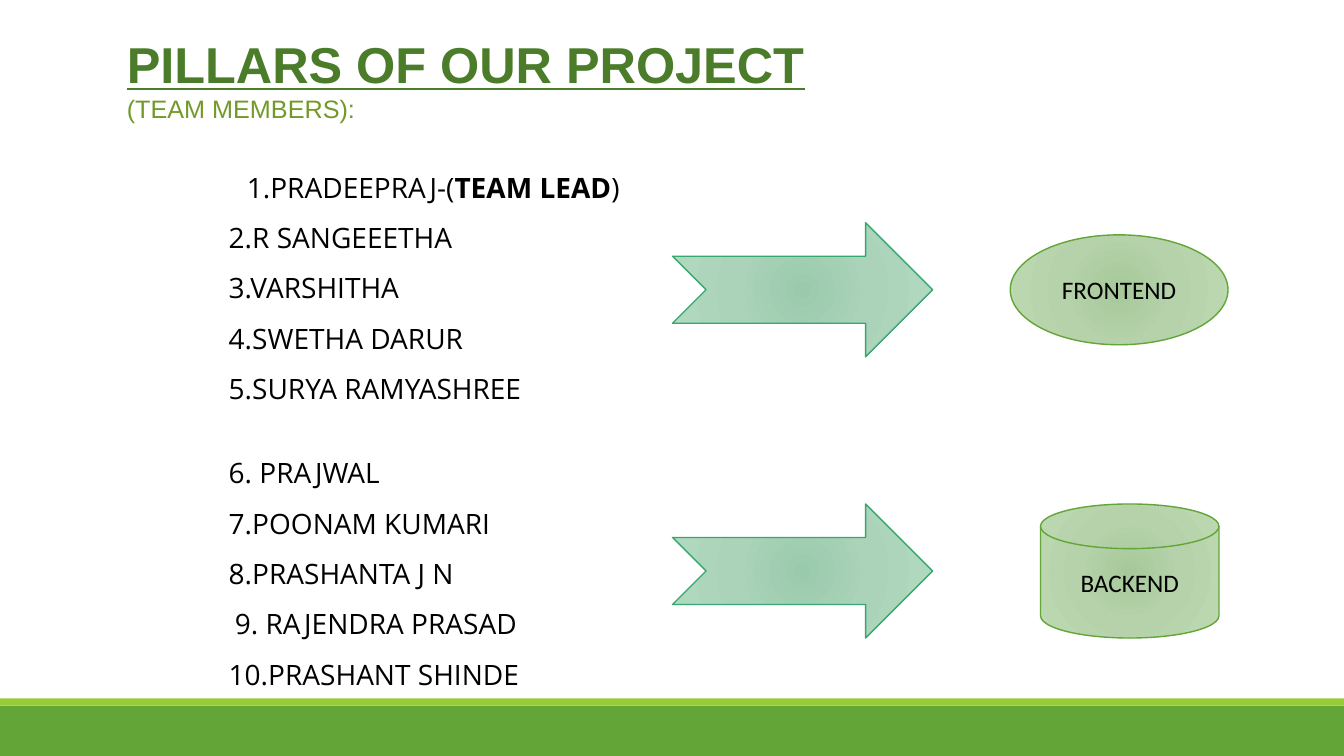
from dataclasses import dataclass

from lxml.etree import SubElement
from pptx import Presentation
from pptx.dml.color import RGBColor
from pptx.enum.shapes import MSO_SHAPE
from pptx.enum.text import MSO_ANCHOR, PP_ALIGN
from pptx.oxml.ns import qn
from pptx.util import Inches, Pt


@dataclass(frozen=True)
class Theme:
    """Colours, fonts and type sizes of the slide."""
    title: str = "4A7C29"
    subtitle: str = "739A28"
    text: str = "000000"
    green: str = "63A537"
    lime: str = "99CB38"
    teal: str = "37A76F"
    teal_glow: tuple = ("9ACAAC", "AAD3B9", "B1DAC0")
    green_glow: tuple = ("A7C99A", "B5D2AA", "BCD9B1")
    head_font: str = "Arial"
    list_font: str = "Open Sans"
    label_font: str = "Calibri"
    title_size: int = 36
    small_size: int = 18
    list_size: int = 20


class SlideBuilder:
    """Draws styled elements on the current slide."""

    def __init__(self, slide, theme):
        """Keep the slide and its theme."""
        self.s, self.theme = slide, theme

    def run(self, p, text, font, size, color, bold=False, underline=False):
        """Add one formatted run to a paragraph."""
        r = p.add_run()
        r.text = text
        r.font.name, r.font.size = font, Pt(size)
        r.font.bold, r.font.underline = bold, underline
        r.font.color.rgb = RGBColor.from_string(color)

    def shape(self, kind, x, y, w, h):
        """Add a preset shape without a shadow."""
        sp = self.s.shapes.add_shape(kind, Inches(x), Inches(y), Inches(w), Inches(h))
        sp.shadow.inherit = False
        return sp

    def band(self, y, h, color):
        """Add a full-width plain band."""
        sp = self.shape(MSO_SHAPE.RECTANGLE, 0, y, 13.33, h)
        sp.fill.solid()
        sp.fill.fore_color.rgb = RGBColor.from_string(color)
        sp.line.fill.background()

    def glow_shape(self, kind, x, y, w, h, glow, line, label=""):
        """Add an outlined shape with a radial gradient and optional label."""
        sp = self.shape(kind, x, y, w, h)
        sp.line.color.rgb = RGBColor.from_string(line)
        sp.line.width = Pt(1)
        sp.fill.gradient()
        grad = sp._element.spPr.find(qn("a:gradFill"))
        for child in list(grad):
            grad.remove(child)
        stops = SubElement(grad, qn("a:gsLst"))
        for pos, color in zip((0, 45, 100), glow):
            stop = SubElement(stops, qn("a:gs"), pos=str(pos * 1000))
            SubElement(stop, qn("a:srgbClr"), val=color)
        circle = SubElement(grad, qn("a:path"), path="circle")
        SubElement(circle, qn("a:fillToRect"), {side: "100000" for side in "ltrb"})
        if label:
            tf = sp.text_frame
            tf.vertical_anchor = MSO_ANCHOR.MIDDLE
            p = tf.paragraphs[0]
            p.alignment = PP_ALIGN.CENTER
            self.run(p, label, self.theme.label_font, self.theme.small_size, self.theme.text)

    def team_text(self, x, y, w, h, title, subtitle, members):
        """Add the heading and the member list in one text box."""
        t = self.theme
        box = self.s.shapes.add_textbox(Inches(x), Inches(y), Inches(w), Inches(h))
        tf = box.text_frame
        tf.word_wrap = True
        self.run(tf.paragraphs[0], title, t.head_font, t.title_size, t.title, True, True)
        self.run(tf.add_paragraph(), subtitle, t.head_font, t.small_size, t.subtitle)
        for indent, gap, parts in members:
            p = tf.add_paragraph()
            p.line_spacing, p.space_before = 1.5, Pt(gap)
            pPr = p._p.get_or_add_pPr()
            pPr.set("marL", str(Inches(indent)))
            pPr.set("indent", "0")
            for i, part in enumerate(parts):
                self.run(p, part, t.list_font, t.list_size, t.text, bold=i == 1)


INDENT = 1.01
# Indent in inches, space before in points, runs (the second one is bold)
MEMBERS = [
    (1.19, 21, ["1.PRADEEPRAJ-(", "TEAM LEAD", ")"]),
    (INDENT, 0, ["2.R SANGEEETHA"]),
    (INDENT, 0, ["3.VARSHITHA"]),
    (INDENT, 0, ["4.SWETHA DARUR"]),
    (INDENT, 0, ["5.SURYA RAMYASHREE"]),
    (INDENT, 24, ["6. PRAJWAL"]),
    (INDENT, 0, ["7.POONAM KUMARI"]),
    (INDENT, 0, ["8.PRASHANTA J N"]),
    (1.07, 0, ["9. RAJENDRA PRASAD"]),
    (INDENT, 0, ["10.PRASHANT SHINDE"]),
]


def main():
    """Build and save the slide."""
    prs = Presentation()
    prs.slide_width, prs.slide_height = Inches(13.33), Inches(7.5)
    theme = Theme()
    b = SlideBuilder(prs.slides.add_slide(prs.slide_layouts[6]), theme)

    b.band(7, 0.5, theme.green)
    b.band(6.93, 0.07, theme.lime)
    b.team_text(1.16, 0.28, 7.31, 6.63, "PILLARS OF OUR PROJECT", "(TEAM MEMBERS):", MEMBERS)
    for y in (2.21, 5):
        b.glow_shape(MSO_SHAPE.NOTCHED_RIGHT_ARROW, 6.67, y, 2.58, 1.33,
                     theme.teal_glow, theme.teal)
    b.glow_shape(MSO_SHAPE.FLOWCHART_MAGNETIC_DISK, 10.32, 5, 1.77, 1.33,
                 theme.green_glow, theme.green, "BACKEND")
    b.glow_shape(MSO_SHAPE.OVAL, 10.02, 2.33, 2.16, 1.09,
                 theme.green_glow, theme.green, "FRONTEND")
    prs.save("out.pptx")


main()
